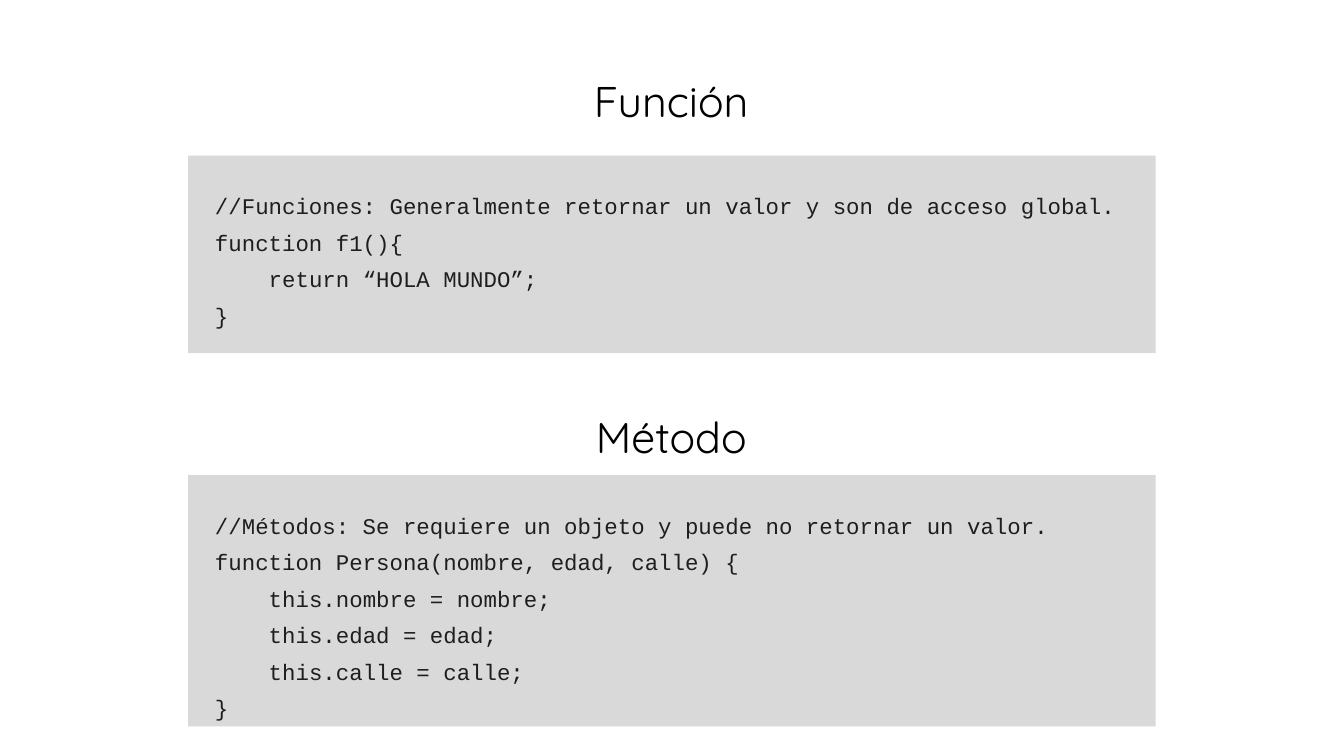
from dataclasses import dataclass

from pptx import Presentation
from pptx.dml.color import RGBColor
from pptx.enum.shapes import MSO_SHAPE
from pptx.enum.text import MSO_ANCHOR, PP_ALIGN
from pptx.util import Pt

RECT = MSO_SHAPE.RECTANGLE
TOP = MSO_ANCHOR.TOP
LEFT, CENTER = PP_ALIGN.LEFT, PP_ALIGN.CENTER


@dataclass(frozen=True)
class Theme:
    title: RGBColor = RGBColor(0x00, 0x00, 0x00)
    panel: RGBColor = RGBColor(0xD9, 0xD9, 0xD9)
    code: RGBColor = RGBColor(0x1E, 0x1E, 0x1E)
    title_font: str = "Quicksand"
    code_font: str = "Courier New"
    title_size: float = 23
    code_size: float = 12
    indent: float = 28.8  # four code characters


THEME = Theme()

# Title box, code box, title, code lines as (indent level, text)
PARTS = [
    ((79.2, 25.92, 560.88, 84.24), (100.8, 83.4, 518.4, 105.84), "Función", [
        (0, "//Funciones: Generalmente retornar un valor y son de acceso global."),
        (0, "function f1(){"),
        (1, "return “HOLA MUNDO”;"),
        (0, "}"),
    ]),
    ((79.2, 205.92, 560.88, 84.24), (100.8, 254.6, 518.4, 134.64), "Método", [
        (0, "//Métodos: Se requiere un objeto y puede no retornar un valor."),
        (0, "function Persona(nombre, edad, calle) {"),
        (1, "this.nombre = nombre;"),
        (1, "this.edad = edad;"),
        (1, "this.calle = calle;"),
        (0, "}"),
    ]),
]


def set_frame(frame, inset):
    frame.word_wrap = True
    frame.vertical_anchor = TOP
    frame.margin_left = frame.margin_right = Pt(inset)
    frame.margin_top = frame.margin_bottom = Pt(inset)


def set_para(para, text, align, spacing, font, size, color):
    para.text = text
    para.alignment = align
    para.line_spacing = spacing
    para.font.name = font
    para.font.size = Pt(size)
    para.font.color.rgb = color


def add_title(slide, box, text):
    frame = slide.shapes.add_textbox(*map(Pt, box)).text_frame
    set_frame(frame, 7.2)
    para = frame.paragraphs[0]
    set_para(para, text, CENTER, 1.25,
             THEME.title_font, THEME.title_size, THEME.title)
    para.space_before = Pt(18)


def add_code(slide, box, lines):
    panel = slide.shapes.add_shape(RECT, *map(Pt, box))
    panel.shadow.inherit = False
    panel.fill.solid()
    panel.fill.fore_color.rgb = THEME.panel
    panel.line.fill.background()
    frame = panel.text_frame
    set_frame(frame, 14.4)
    for i, (level, text) in enumerate(lines):
        para = frame.add_paragraph() if i else frame.paragraphs[0]
        set_para(para, text, LEFT, 1.36,
                 THEME.code_font, THEME.code_size, THEME.code)
        if level:
            para._p.get_or_add_pPr().set("marL", str(Pt(level * THEME.indent)))


def main():
    deck = Presentation()
    deck.slide_width, deck.slide_height = Pt(720), Pt(405)
    slide = deck.slides.add_slide(deck.slide_layouts[6])
    for title_box, code_box, title, lines in PARTS:
        add_title(slide, title_box, title)
        add_code(slide, code_box, lines)
    deck.save("out.pptx")


if __name__ == "__main__":
    main()
